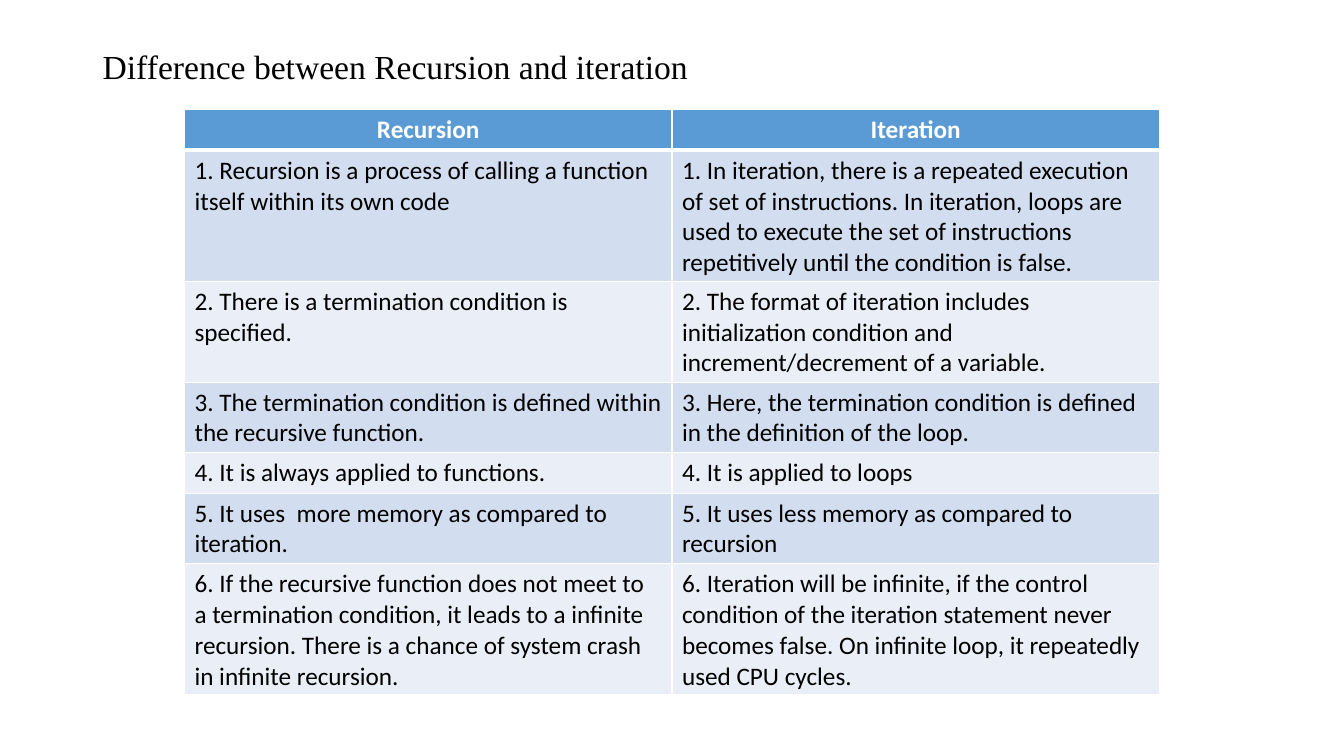
from dataclasses import dataclass

from lxml.etree import SubElement
from pptx import Presentation
from pptx.dml.color import RGBColor
from pptx.enum.text import MSO_ANCHOR, PP_ALIGN
from pptx.oxml.ns import qn
from pptx.util import Inches, Pt


@dataclass(frozen=True)
class Theme:
    title_font: str = "Times New Roman"
    body_font: str = "Calibri"
    title_size: int = 24
    body_size: int = 18
    ink: str = "000000"
    white: str = "FFFFFF"
    header: str = "5B9BD5"
    bands: tuple = ("D2DEEF", "EAEFF7")
    rule: int = 1
    header_rule: int = 3


HEADINGS = ("Recursion", "Iteration")
# Number of text lines in the taller cell, then the two cells
DIFFERENCES = [
    (4, "1. Recursion is a process of calling a function itself within its own code",
     "1. In iteration, there is a repeated execution of set of instructions. In iteration, "
     "loops are used to execute the set of instructions repetitively until the condition is false."),
    (3, "2. There is a termination condition is specified.",
     "2. The format of iteration includes initialization condition and "
     "increment/decrement of a variable."),
    (2, "3. The termination condition is defined within the recursive function.",
     "3. Here, the termination condition is defined in the definition of the loop."),
    (1, "4. It is always applied to functions.", "4. It is applied to loops"),
    (2, "5. It uses  more memory as compared to iteration.",
     "5. It uses less memory as compared to recursion"),
    (4, "6. If the recursive function does not meet to a termination condition, it leads to a "
     "infinite recursion. There is a chance of system crash in infinite recursion.",
     "6. Iteration will be infinite, if the control condition of the iteration statement never "
     "becomes false. On infinite loop, it repeatedly used CPU cycles."),
]


class PageBuilder:
    def __init__(self, page, theme):
        self.page = page
        self.theme = theme

    def style_text(self, paragraph, font_name, size, color, bold=False):
        for span in paragraph.runs:
            span.font.name = font_name
            span.font.size = Pt(size)
            span.font.bold = bold
            span.font.color.rgb = RGBColor.from_string(color)

    def title(self, text, left, top, width, height):
        box = self.page.shapes.add_textbox(Inches(left), Inches(top), Inches(width), Inches(height))
        frame = box.text_frame
        frame.word_wrap = True
        frame.vertical_anchor = MSO_ANCHOR.MIDDLE
        frame.text = text
        paragraph = frame.paragraphs[0]
        paragraph.line_spacing = 0.9
        self.style_text(paragraph, self.theme.title_font, self.theme.title_size, self.theme.ink)

    def border(self, cell, side, points):
        """Draw one cell edge; side is L, R, T or B, called in that order."""
        properties = cell._tc.get_or_add_tcPr()
        line = SubElement(properties, qn(f"a:ln{side}"), w=str(Pt(points)))
        fill = SubElement(line, qn("a:solidFill"))
        SubElement(fill, qn("a:srgbClr"), val=self.theme.white)

    def cell(self, cell, text, fill, color, is_header, top_rule, bottom_rule):
        cell.text = text
        paragraph = cell.text_frame.paragraphs[0]
        paragraph.alignment = PP_ALIGN.CENTER if is_header else PP_ALIGN.LEFT
        self.style_text(paragraph, self.theme.body_font, self.theme.body_size, color, is_header)
        rules = {"L": self.theme.rule, "R": self.theme.rule, "T": top_rule, "B": bottom_rule}
        for side, points in rules.items():
            self.border(cell, side, points)
        cell.fill.solid()
        cell.fill.fore_color.rgb = RGBColor.from_string(fill)

    def comparison_table(self, headings, differences, left, top, width):
        """Size each row by its line count, under a single-line header."""
        theme = self.theme
        rows = [(1, *headings), *differences]
        heights = [0.3 * lines + 0.1 for lines, *_ in rows]
        table = self.page.shapes.add_table(
            len(rows), len(headings), Inches(left), Inches(top), Inches(width), Inches(sum(heights))
        ).table
        for index, (_, *texts) in enumerate(rows):
            table.rows[index].height = Inches(heights[index])
            is_header = index == 0
            fill = theme.header if is_header else theme.bands[(index - 1) % 2]
            color = theme.white if is_header else theme.ink
            top_rule = theme.header_rule if index == 1 else theme.rule
            bottom_rule = theme.header_rule if is_header else theme.rule
            for column, text in enumerate(texts):
                self.cell(table.cell(index, column), text, fill, color,
                          is_header, top_rule, bottom_rule)


def main():
    deck = Presentation()
    deck.slide_width = Inches(13.33)
    deck.slide_height = Inches(7.5)
    page = deck.slides.add_slide(deck.slide_layouts[6])
    builder = PageBuilder(page, Theme())
    builder.title("Difference between Recursion and iteration", 0.92, 0.4, 11.5, 0.56)
    builder.comparison_table(HEADINGS, DIFFERENCES, 1.83, 1.09, 9.67)
    deck.save("out.pptx")


if __name__ == "__main__":
    main()
